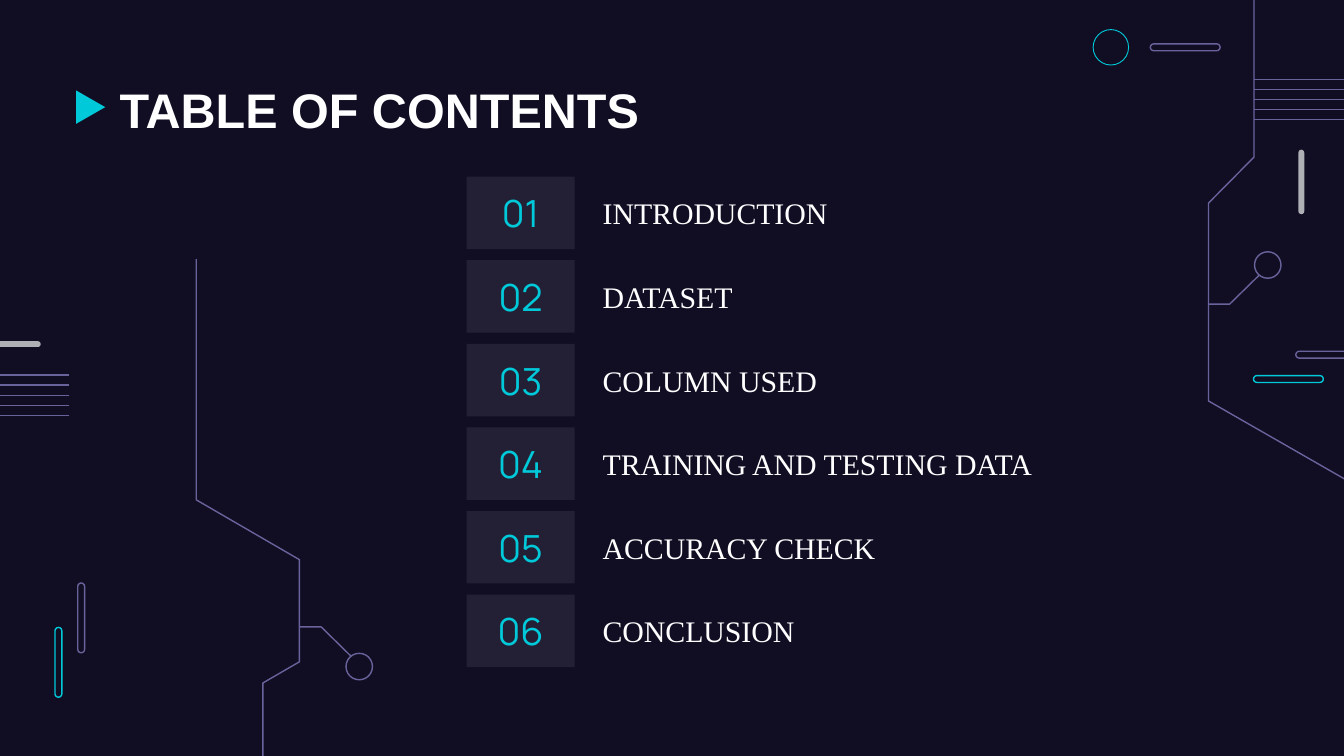
from lxml.etree import SubElement
from pptx import Presentation
from pptx.dml.color import RGBColor
from pptx.enum.shapes import MSO_CONNECTOR, MSO_SHAPE
from pptx.enum.text import MSO_ANCHOR, PP_ALIGN
from pptx.oxml.ns import qn
from pptx.util import Cm, Pt

NAVY = RGBColor(0x11, 0x0E, 0x24)
CYAN = RGBColor(0x00, 0xCA, 0xDA)
PURPLE = RGBColor(0x69, 0x63, 0x9C)
GREY = RGBColor(0xAF, 0xAF, 0xB6)
WHITE = RGBColor(0xFF, 0xFF, 0xFF)

TOPICS = ["INTRODUCTION", "DATASET", "COLUMN USED",
          "TRAINING AND TESTING DATA", "ACCURACY CHECK", "CONCLUSION"]
LONG, THIN, RING = 1.32, 0.13, 0.5

PILLS = [(1.04, 11.86, THIN, LONG, CYAN), (1.47, 11.02, THIN, LONG, PURPLE),
         (23.69, 7.1, LONG, THIN, CYAN), (24.49, 6.64, LONG, THIN, PURPLE),
         (21.74, 0.83, LONG, THIN, PURPLE)]
BARS = [(24.54, 2.83, 0.11, 1.22), (-0.45, 6.45, 1.22, 0.11)]
RINGS = [(20.66, 0.56, 0.67, CYAN, 0.47), (23.71, 4.76, RING, PURPLE, 0.75),
         (6.54, 12.35, RING, PURPLE, 0.75)]
TRACES = [
    [(23.8, 5.2), (23.24, 5.75), (22.84, 5.75)],
    [(25.7, 9.22), (22.84, 7.58), (22.84, 3.84), (23.7, 2.97), (23.7, -0.15)],
    [(6.63, 12.4), (6.07, 11.85), (5.66, 11.85)],
    [(3.71, 4.9), (3.71, 9.45), (5.66, 10.58), (5.66, 12.51), (4.97, 12.91),
     (4.97, 14.5)],
]
STRIPES = [(23.7, 27.43, 1.5), (1.31, -1.55, 7.09)]


def add_shape(slide, kind, x, y, w, h, fill=None, line=None, width=0.75):
    shape = slide.shapes.add_shape(kind, Cm(x), Cm(y), Cm(w), Cm(h))
    paint(shape, fill, line, width)
    return shape


def paint(shape, fill=None, line=None, width=0.75):
    shape.shadow.inherit = False
    if fill is None:
        shape.fill.background()
    else:
        shape.fill.solid()
        shape.fill.fore_color.rgb = fill
    if line is None:
        shape.line.fill.background()
    else:
        shape.line.color.rgb = line
        shape.line.width = Pt(width)


def add_pill(slide, x, y, w, h, fill=None, line=None):
    pill = add_shape(slide, MSO_SHAPE.ROUNDED_RECTANGLE, x, y, w, h, fill, line)
    pill.adjustments[0] = 0.5


def add_trace(slide, points):
    first, *rest = [(Cm(x), Cm(y)) for x, y in points]
    pen = slide.shapes.build_freeform(*first)
    pen.add_line_segments(rest, close=False)
    paint(pen.convert_to_shape(), line=PURPLE)


def add_stripes(slide, start, end, top):
    for i in range(5):
        y = Cm(top + 0.19 * i)
        stripe = slide.shapes.add_connector(
            MSO_CONNECTOR.STRAIGHT, Cm(start), y, Cm(end), y)
        stripe.line.color.rgb = PURPLE
        stripe.line.width = Pt(0.75)
        SubElement(stripe.line._ln.getparent(), qn("a:effectLst"))


def write(shape, text, font, size, color, align=PP_ALIGN.LEFT,
          anchor=MSO_ANCHOR.MIDDLE, bold=False):
    frame = shape.text_frame
    frame.word_wrap = True
    frame.vertical_anchor = anchor
    frame.margin_left = frame.margin_right = Cm(0.25)
    frame.margin_top = frame.margin_bottom = Cm(0.25)
    para = frame.paragraphs[0]
    para.alignment = align
    run = para.add_run()
    run.text = text
    run.font.name = font
    run.font.size = Pt(size)
    run.font.bold = bold
    run.font.color.rgb = color


def add_text(slide, x, y, w, h, *args, **style):
    box = slide.shapes.add_textbox(Cm(x), Cm(y), Cm(w), Cm(h))
    write(box, *args, **style)


def add_topic(slide, index, topic):
    y = 3.34 + 1.58 * index
    box = add_shape(slide, MSO_SHAPE.RECTANGLE, 8.82, y, 2.04, 1.37, WHITE)
    color = box.fill._xPr.find(qn("a:solidFill"))[0]
    SubElement(color, qn("a:alpha"), val="8000")
    write(box, f"{index + 1:02}", "Manrope", 20, CYAN, PP_ALIGN.CENTER)
    width = 9.5 if len(topic) > 20 else 7.54
    add_text(slide, 11.14, y, width, 1.37, topic, "Times New Roman", 16, WHITE)


def main():
    deck = Presentation()
    deck.slide_width, deck.slide_height = Cm(25.4), Cm(14.29)
    slide = deck.slides.add_slide(deck.slide_layouts[6])
    slide.background.fill.solid()
    slide.background.fill.fore_color.rgb = NAVY

    for *place, color in PILLS:
        add_pill(slide, *place, line=color)
    for x, y, size, color, width in RINGS:
        add_shape(slide, MSO_SHAPE.OVAL, x, y, size, size, None, color, width)
    for points in TRACES:
        add_trace(slide, points)
    for stripe in STRIPES:
        add_stripes(slide, *stripe)
    for place in BARS:
        add_pill(slide, *place, fill=GREY)

    arrow = add_shape(slide, MSO_SHAPE.FLOWCHART_MERGE, 1.4, 1.75, 0.63, 0.55, CYAN)
    arrow.rotation = 270
    add_text(slide, 2.01, 1.27, 21.41, 1.6, "TABLE OF CONTENTS", "Arial", 26,
             WHITE, anchor=MSO_ANCHOR.BOTTOM, bold=True)
    for index, topic in enumerate(TOPICS):
        add_topic(slide, index, topic)

    deck.save("out.pptx")


if __name__ == "__main__":
    main()
